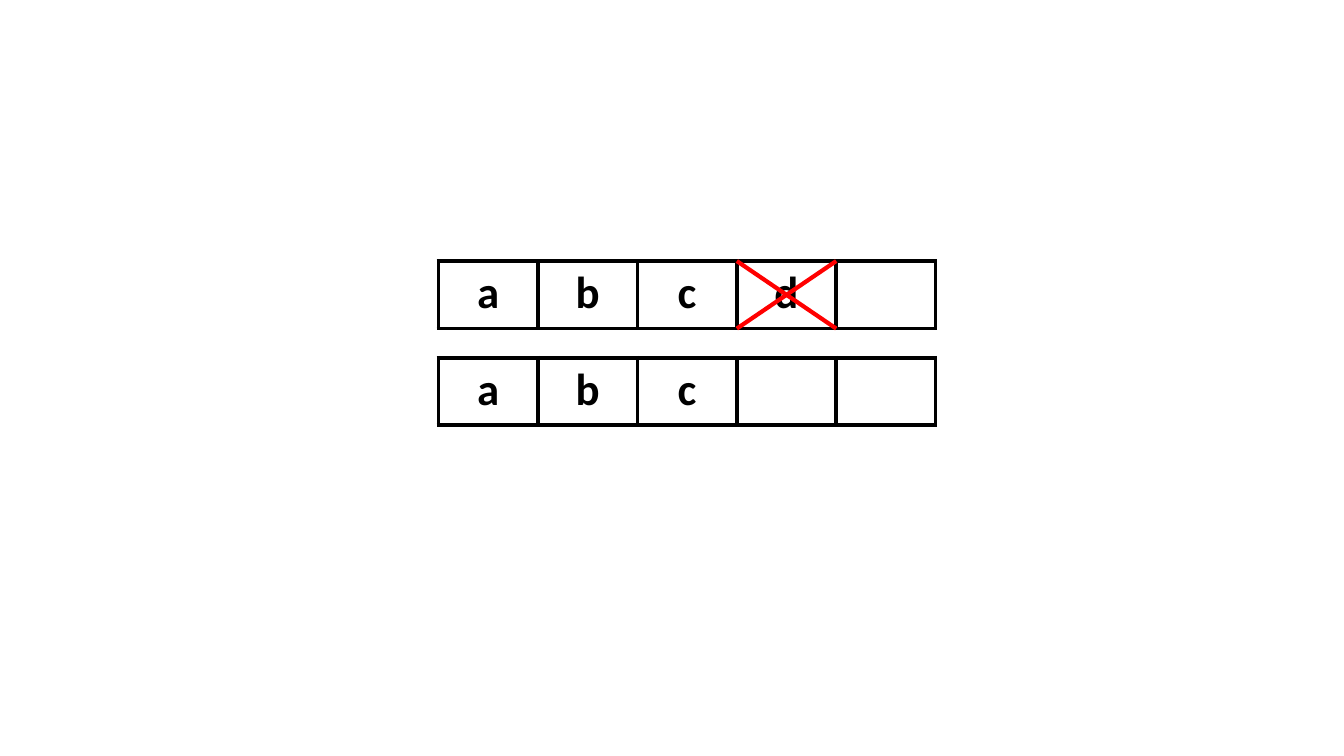
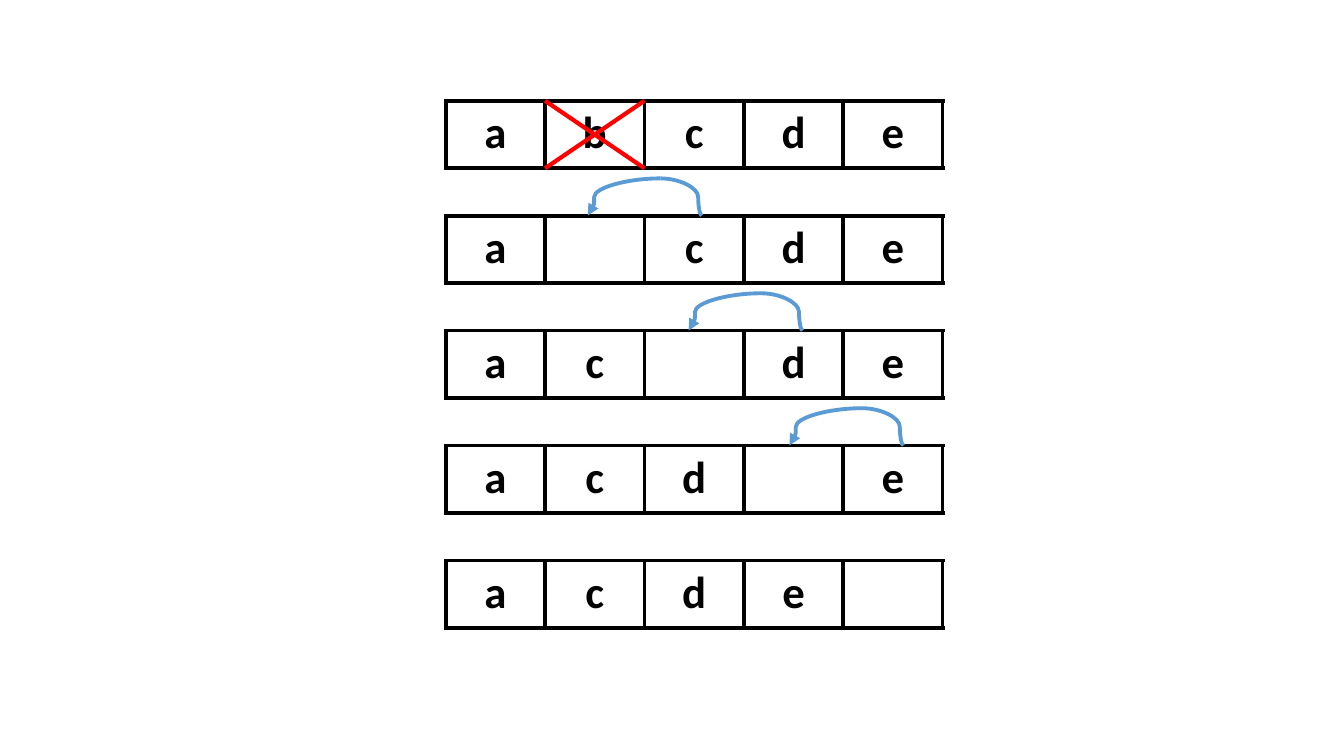
import pptx
import pptx.util
import pptx.dml.color
import pptx.enum.shapes
import pptx.enum.text
import pptx.oxml.ns
import lxml.etree

PX = 9144  # EMU in one px, 100 px to the inch
RGB = pptx.dml.color.RGBColor
BLACK = RGB(0x00, 0x00, 0x00)
WHITE = RGB(0xFF, 0xFF, 0xFF)
RED = RGB(0xFF, 0x00, 0x00)
BLUE = RGB(0x5B, 0x9B, 0xD5)
KIND = pptx.enum.shapes.MSO_CONNECTOR

WIDE, HIGH = 493, 67  # size of one array
COLS = 5
FONT = {"name": "Calibri", "size": pptx.util.Pt(32), "bold": True}
PLAIN = {"first_row": False, "horz_banding": False}


def put(item, values):
    for name, value in values.items():
        setattr(item, name, value)


def add(parent, tag, **attrs):
    return lxml.etree.SubElement(parent, pptx.oxml.ns.qn(tag), attrs)


def edge(cell):
    """Draw a black 3 pt border on all four sides."""
    props = cell._tc.get_or_add_tcPr()
    for side in "LRTB":
        line = add(props, f"a:ln{side}", w=str(pptx.util.Pt(3)))
        add(add(line, "a:solidFill"), "a:srgbClr", val=str(BLACK))


def array(slide, left, top, text):
    """Draw one array; a space in the text is an empty cell."""
    frame = slide.shapes.add_table(
        1, COLS, left * PX, top * PX, WIDE * PX, HIGH * PX)
    table = frame.table
    put(table, PLAIN)
    for cell, mark in zip(table.iter_cells(), text):
        edge(cell)
        cell.fill.solid()
        cell.fill.fore_color.rgb = WHITE
        if mark != " ":
            cell.text = mark
            para = cell.text_frame.paragraphs[0]
            para.alignment = pptx.enum.text.PP_ALIGN.CENTER
            font = para.runs[0].font
            put(font, FONT)
            font.color.rgb = BLACK


def link(slide, kind, start, end, color, width):
    ends = [round(value * PX) for value in (*start, *end)]
    line = slide.shapes.add_connector(kind, *ends)
    line.line.color.rgb = color
    line.line.width = pptx.util.Pt(width)
    add(line._element.spPr, "a:effectLst")
    return line


def cross(slide, left, top, col):
    """Strike out one cell of an array."""
    step = WIDE / COLS
    near, far = left + col * step, left + (col + 1) * step
    for first, last in ((top, top + HIGH), (top + HIGH, top)):
        link(slide, KIND.STRAIGHT, (near, first), (far, last), RED, 3)


def curve(slide, start, end, bend):
    line = link(slide, KIND.CURVE, start, end, BLUE, 2.75)
    guides = line._element.spPr.prstGeom.get_or_add_avLst()
    add(guides, "a:gd", name="adj1", fmla=f"val {bend}")
    return line


def hop(slide, left, base):
    """Arc from a cell over to the one on its left."""
    peak = (left + 72, base - 37)
    arrow = curve(slide, peak, (left, base), 91200)
    add(arrow.line._get_or_add_ln(), "a:tailEnd", type="triangle")
    curve(slide, (left + 113, base), peak, 8600)


def last(slide):
    """Delete the last element."""
    left, top, pitch = 435, 259, 96
    for row, text in enumerate(("abcd ", "abc  ")):
        array(slide, left, top + row * pitch, text)
    cross(slide, left, top, 3)


def inner(slide):
    """Delete an inner element and shift the rest."""
    left, top, pitch = 442, 100, 114
    rows = ("abcde", "a cde", "ac de", "acd e", "acde ")
    for row, text in enumerate(rows):
        array(slide, left, top + row * pitch, text)
    cross(slide, left, top, 1)
    for step in range(3):
        hop(slide, 583 + step * 100, top + (step + 1) * pitch)


def main():
    deck = pptx.Presentation()
    put(deck, {"slide_width": 1333 * PX, "slide_height": 750 * PX})
    blank = deck.slide_layouts[6]
    for draw in (last, inner):
        draw(deck.slides.add_slide(blank))
    deck.save("out.pptx")


if __name__ == "__main__":
    main()
